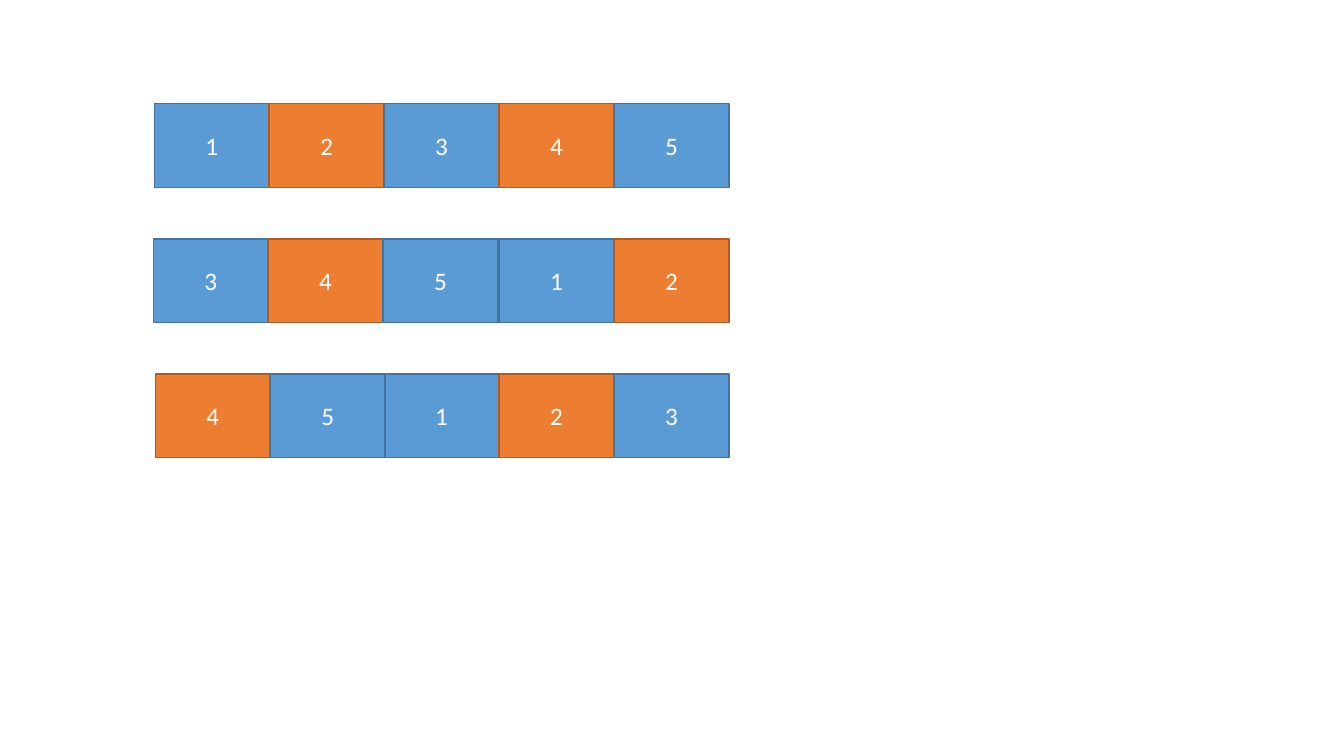
"""Draw the sequence 1 to 5 and two of its rotations as rows of cells."""
from pptx import Presentation, util as u
from pptx.dml.color import RGBColor
from pptx.enum import shapes, text

BLUE, BLUE_EDGE = RGBColor(0x5B, 0x9B, 0xD5), RGBColor(0x43, 0x73, 0x9E)
ORANGE, ORANGE_EDGE = RGBColor(0xED, 0x7D, 0x31), RGBColor(0xAF, 0x5C, 0x24)
WHITE = RGBColor(0xFF, 0xFF, 0xFF)

COUNT = 5
LEFT, TOP = 1.53, 1.03
CELL_WIDTH, CELL_HEIGHT = 1.14, 0.83
ROW_PITCH = 1.34
ROTATIONS = [(1, 0), (3, -0.01), (4, 0.01)]

deck = Presentation()
deck.slide_width, deck.slide_height = u.Inches(13.33), u.Inches(7.5)
slide = deck.slides.add_slide(deck.slide_layouts[6])

for row, (first, nudge) in enumerate(ROTATIONS):
    for number in range(1, COUNT + 1):
        column = (number - first) % COUNT
        left = LEFT + column * CELL_WIDTH + (nudge if number >= first else 0)
        cell = slide.shapes.add_shape(
            shapes.MSO_SHAPE.RECTANGLE,
            u.Inches(left), u.Inches(TOP + row * ROW_PITCH),
            u.Inches(CELL_WIDTH), u.Inches(CELL_HEIGHT))
        fill, edge = (BLUE, BLUE_EDGE) if number % 2 else (ORANGE, ORANGE_EDGE)
        cell.shadow.inherit = False
        cell.fill.solid()
        cell.fill.fore_color.rgb = fill
        cell.line.color.rgb = edge
        cell.line.width = u.Pt(1)
        cell.text_frame.text = str(number)
        cell.text_frame.vertical_anchor = text.MSO_ANCHOR.MIDDLE
        label = cell.text_frame.paragraphs[0]
        label.alignment = text.PP_ALIGN.CENTER
        font = label.runs[0].font
        font.name, font.size = "Calibri", u.Pt(18)
        font.color.rgb = WHITE

deck.save("out.pptx")
